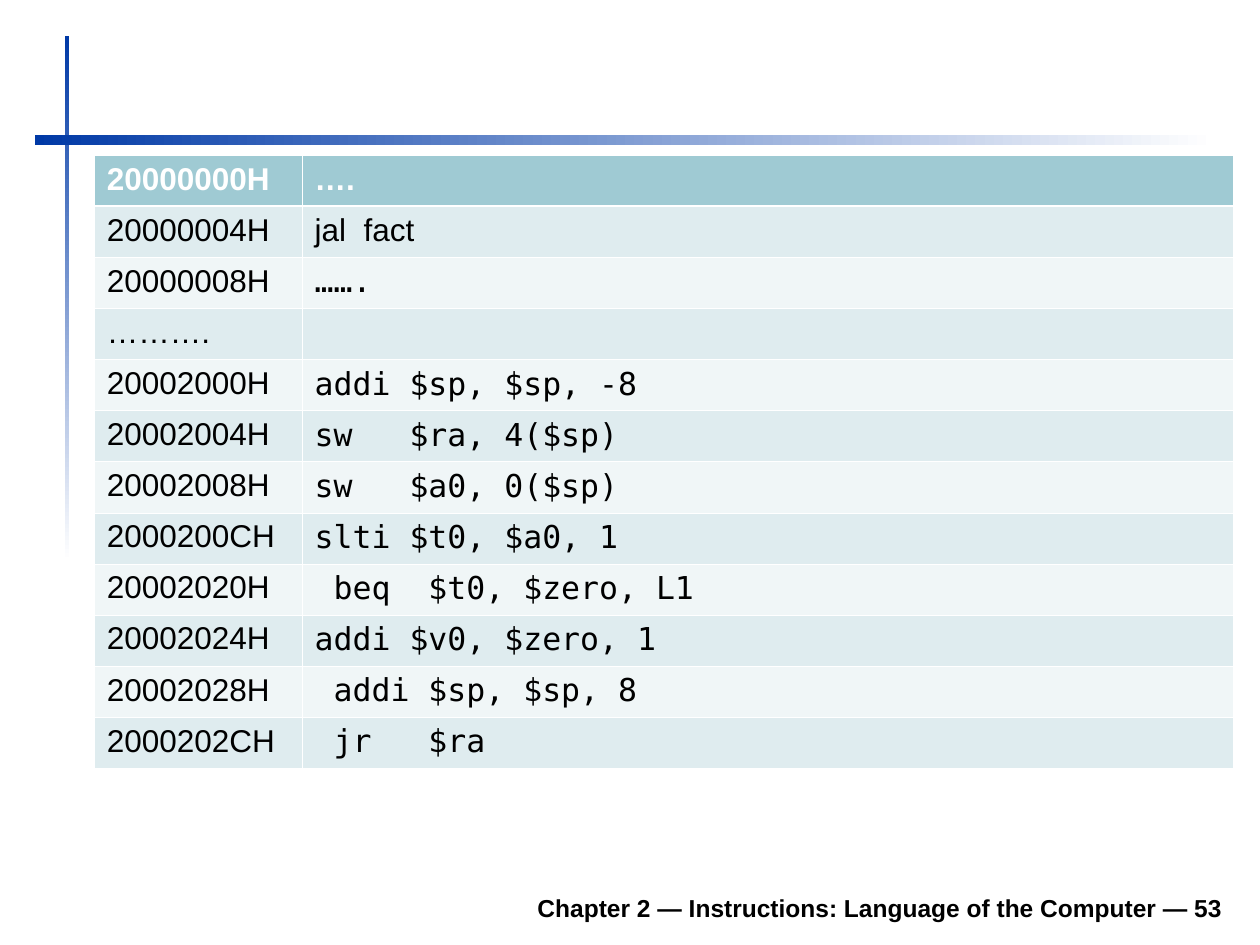
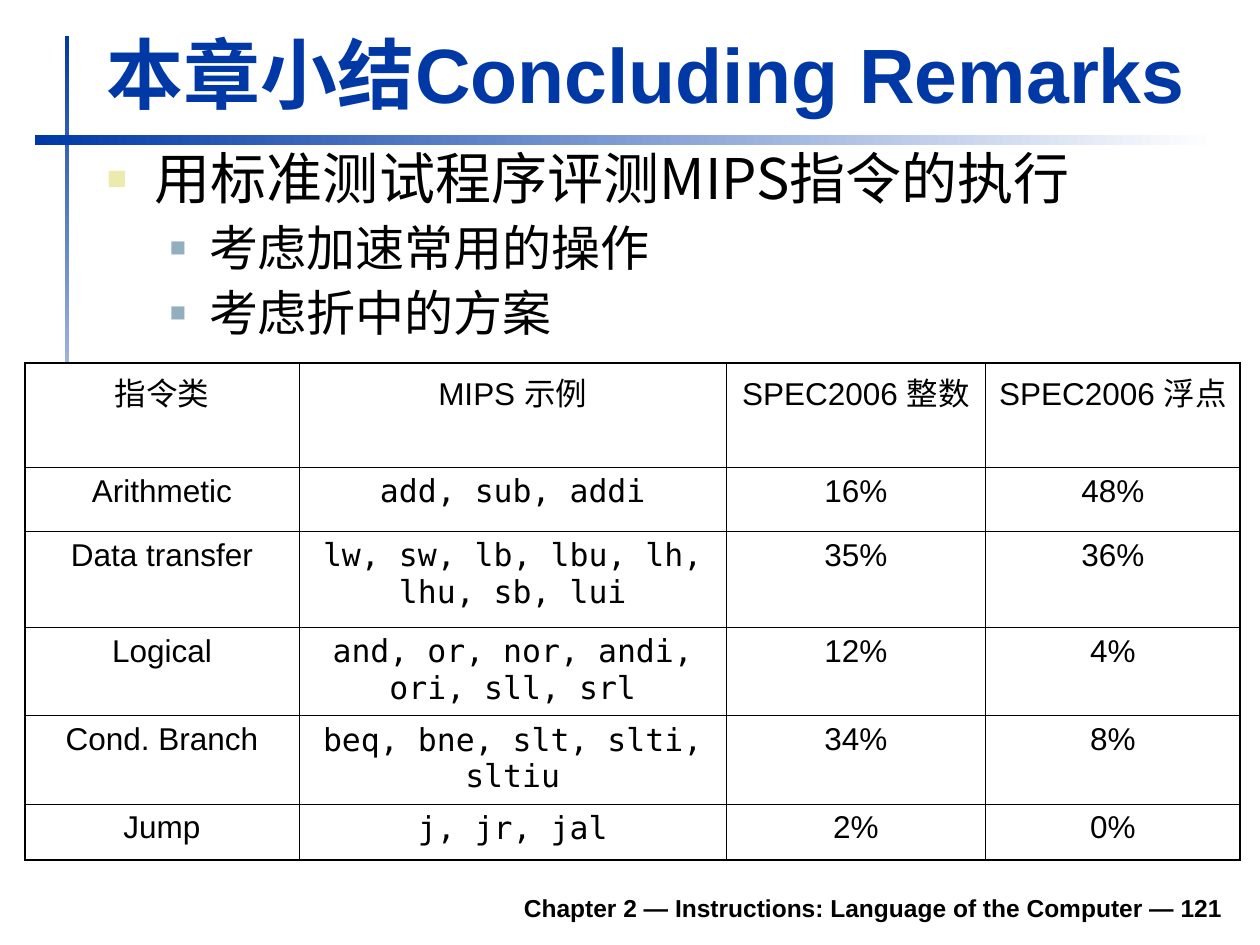
import lxml.etree
import pptx
import pptx.dml.color
import pptx.enum.dml
import pptx.enum.shapes
import pptx.enum.text
import pptx.oxml.ns
import pptx.util

Cm = pptx.util.Cm
Pt = pptx.util.Pt
qn = pptx.oxml.ns.qn
ALIGN = pptx.enum.text.PP_ALIGN
ANCHOR = pptx.enum.text.MSO_ANCHOR

COLORS = {
    "blue": "0039A6",
    "white": "FFFFFF",
    "black": "000000",
    "header": "9FCAD3",
    "band_dark": "DFECEF",
    "band_light": "F0F6F7",
    "bullet_main": "ECEAAC",
    "bullet_sub": "91AFBF",
}
SANS, MONO, CHINESE = "Arial", "DejaVu Sans Mono", "Noto Sans CJK SC"
FOOTER = "Chapter 2 — Instructions: Language of the Computer — {}"

# left, top, width, height in centimetres
VERTICAL_BAR = (1.31, 0.72, 0.09, 10.59)
HORIZONTAL_BAR = (0.7, 2.72, 23.8, 0.2)
FOOTER_BOX = (4.71, 17.73, 20.19, 0.99)
TITLE_BOX = (1.9, 0.41, 22.94, 2.11)
BODY_BOX = (1.9, 2.92, 22.96, 4.39)

PROGRAM = [
    ("20000000H", "…."),
    ("20000004H", "jal  fact"),
    ("20000008H", "……."),
    ("……….", ""),
    ("20002000H", "addi $sp, $sp, -8"),
    ("20002004H", "sw   $ra, 4($sp)"),
    ("20002008H", "sw   $a0, 0($sp)"),
    ("2000200CH", "slti $t0, $a0, 1"),
    ("20002020H", " beq  $t0, $zero, L1"),
    ("20002024H", "addi $v0, $zero, 1"),
    ("20002028H", " addi $sp, $sp, 8"),
    ("2000202CH", " jr   $ra"),
]
FREQUENCIES = [
    ("指令类", "MIPS 示例", "SPEC2006 整数", "SPEC2006 浮点"),
    ("Arithmetic", "add, sub, addi", "16%", "48%"),
    ("Data transfer", "lw, sw, lb, lbu, lh, lhu, sb, lui", "35%", "36%"),
    ("Logical", "and, or, nor, andi, ori, sll, srl", "12%", "4%"),
    ("Cond. Branch", "beq, bne, slt, slti, sltiu", "34%", "8%"),
    ("Jump", "j, jr, jal", "2%", "0%"),
]
REMARKS = [
    (0, "用标准测试程序评测MIPS指令的执行"),
    (1, "考虑加速常用的操作"),
    (1, "考虑折中的方案"),
]
# size, space before, left margin in cm, hanging indent in cm, bullet colour, bullet size in %
REMARK_LEVELS = [
    (32, 8, 0.97, 0.97, "bullet_main", 60),
    (28, 7, 2.06, 0.79, "bullet_sub", 55),
]


def rgb(color):
    return pptx.dml.color.RGBColor.from_string(COLORS[color])


def lengths(box):
    return [Cm(value) for value in box]


def place(shape, box):
    shape.left, shape.top, shape.width, shape.height = lengths(box)


def format_paragraph(paragraph, size, color="black", bold=False, name=SANS, align=ALIGN.LEFT):
    paragraph.alignment = align
    font = paragraph.font
    font.size, font.bold, font.name = Pt(size), bold, name
    font.color.rgb = rgb(color)
    default_run = paragraph._p.pPr.find(qn("a:defRPr"))
    lxml.etree.SubElement(default_run, qn("a:ea"), typeface=CHINESE)


def add_bullet(paragraph, margin, hanging, color, percent):
    properties = paragraph._p.get_or_add_pPr()
    properties.set("marL", str(Cm(margin)))
    properties.set("indent", str(-Cm(hanging)))
    bullet_color = lxml.etree.SubElement(properties, qn("a:buClr"))
    lxml.etree.SubElement(bullet_color, qn("a:srgbClr"), val=COLORS[color])
    lxml.etree.SubElement(properties, qn("a:buSzPct"), val=str(percent * 1000))
    lxml.etree.SubElement(properties, qn("a:buChar"), char="■")


def move_bars_to_master(presentation, slide):
    """Draw the two fading bars and hand them to the master, behind its placeholders."""
    bars = [(VERTICAL_BAR, 270), (HORIZONTAL_BAR, 0)]
    for index, (box, angle) in enumerate(bars):
        bar = slide.shapes.add_shape(pptx.enum.shapes.MSO_SHAPE.RECTANGLE, *lengths(box))
        bar.shadow.inherit = False
        bar.line.fill.background()
        bar.fill.gradient()
        bar.fill.gradient_angle = angle
        for stop, color, position in zip(bar.fill.gradient_stops, ("blue", "white"), (0, 1)):
            stop.color.rgb = rgb(color)
            stop.position = position
        bar.element.xpath(".//p:cNvPr")[0].set("id", str(101 + index))
        presentation.slide_master.shapes.element.insert(2 + index, bar.element)


def add_footer(slide, number):
    frame = slide.shapes.add_textbox(*lengths(FOOTER_BOX)).text_frame
    frame.word_wrap = True
    frame.vertical_anchor = ANCHOR.BOTTOM
    frame.text = FOOTER.format(number)
    format_paragraph(frame.paragraphs[0], 14, bold=True, align=ALIGN.RIGHT)


def fill_title(slide, text):
    title = slide.shapes.title
    place(title, TITLE_BOX)
    title.text_frame.text = text
    title.text_frame.vertical_anchor = ANCHOR.BOTTOM
    title.text_frame.auto_size = pptx.enum.text.MSO_AUTO_SIZE.NONE
    format_paragraph(title.text_frame.paragraphs[0], 44, "blue", bold=True)


def fill_remarks(slide, remarks):
    body = slide.placeholders[1]
    place(body, BODY_BOX)
    frame = body.text_frame
    frame.auto_size = pptx.enum.text.MSO_AUTO_SIZE.NONE
    frame.text = "\n".join(text for _, text in remarks)
    for index, (paragraph, (level, _)) in enumerate(zip(frame.paragraphs, remarks)):
        size, space, margin, hanging, color, percent = REMARK_LEVELS[level]
        paragraph.level = level
        add_bullet(paragraph, margin, hanging, color, percent)
        paragraph.line_spacing = 0.9
        paragraph.space_before = Pt(space if index else 0)
        format_paragraph(paragraph, size, name=CHINESE)


def set_borders(cell, color, widths):
    """Draw the left, right, top and bottom borders with the given point widths."""
    properties = cell._tc.get_or_add_tcPr()
    for side, width in zip("LRTB", widths):
        line = lxml.etree.SubElement(properties, qn(f"a:ln{side}"), w=str(Pt(width)))
        fill = lxml.etree.SubElement(line, qn("a:solidFill"))
        lxml.etree.SubElement(fill, qn("a:srgbClr"), val=COLORS[color])


def add_grid(slide, left, top, columns, heights, texts, line_color, outer, header_line,
             fills, first_code_row, align, header_font):
    """Add a table whose second column is code from first_code_row on.

    fills holds the header fill and the two alternating band fills.
    """
    box = (left, top, sum(columns), sum(heights))
    table = slide.shapes.add_table(len(heights), len(columns), *lengths(box)).table
    table.first_row = table.horz_banding = False
    for column, width in zip(table.columns, columns):
        column.width = Cm(width)
    inner = 0.45
    last_row, last_column = len(heights) - 1, len(columns) - 1
    for r, (row, height) in enumerate(zip(table.rows, heights)):
        row.height = Cm(height)
        for c, cell in enumerate(row.cells):
            set_borders(cell, line_color, (
                outer if c == 0 else inner,
                outer if c == last_column else inner,
                {0: outer, 1: header_line}.get(r, inner),
                {0: header_line, last_row: outer}.get(r, inner),
            ))
            cell.fill.solid()
            cell.fill.fore_color.rgb = rgb(fills[0] if r == 0 else fills[2 - r % 2])
            cell.text = texts[r][c]
            name = MONO if c == 1 and r >= first_code_row else SANS
            font = header_font if r == 0 else {}
            format_paragraph(cell.text_frame.paragraphs[0], 18, name=name, align=align, **font)


def build_program_slide(slide):
    add_grid(slide, 1.9, 3.13, (4.19, 18.78), [1.03] * len(PROGRAM), PROGRAM,
             line_color="white", outer=0.45, header_line=1.47,
             fills=("header", "band_dark", "band_light"), first_code_row=2,
             align=ALIGN.LEFT, header_font={"color": "white", "bold": True})
    add_footer(slide, 53)


def build_remarks_slide(slide):
    add_footer(slide, 121)
    fill_title(slide, "本章小结Concluding Remarks")
    fill_remarks(slide, REMARKS)
    add_grid(slide, 0.5, 7.32, (5.53, 8.61, 5.23, 5.13),
             (2.1, 1.29, 1.94, 1.78, 1.78, 1.12), FREQUENCIES,
             line_color="black", outer=1.08, header_line=0.75,
             fills=("white",) * 3, first_code_row=1,
             align=ALIGN.CENTER, header_font={})


def main():
    presentation = pptx.Presentation()
    presentation.slide_width, presentation.slide_height = Cm(25.4), Cm(19.05)
    layouts = presentation.slide_layouts
    program_slide = presentation.slides.add_slide(layouts.get_by_name("Blank"))
    remarks_slide = presentation.slides.add_slide(layouts.get_by_name("Title and Content"))
    move_bars_to_master(presentation, program_slide)
    build_program_slide(program_slide)
    build_remarks_slide(remarks_slide)
    presentation.save("out.pptx")


if __name__ == "__main__":
    main()
